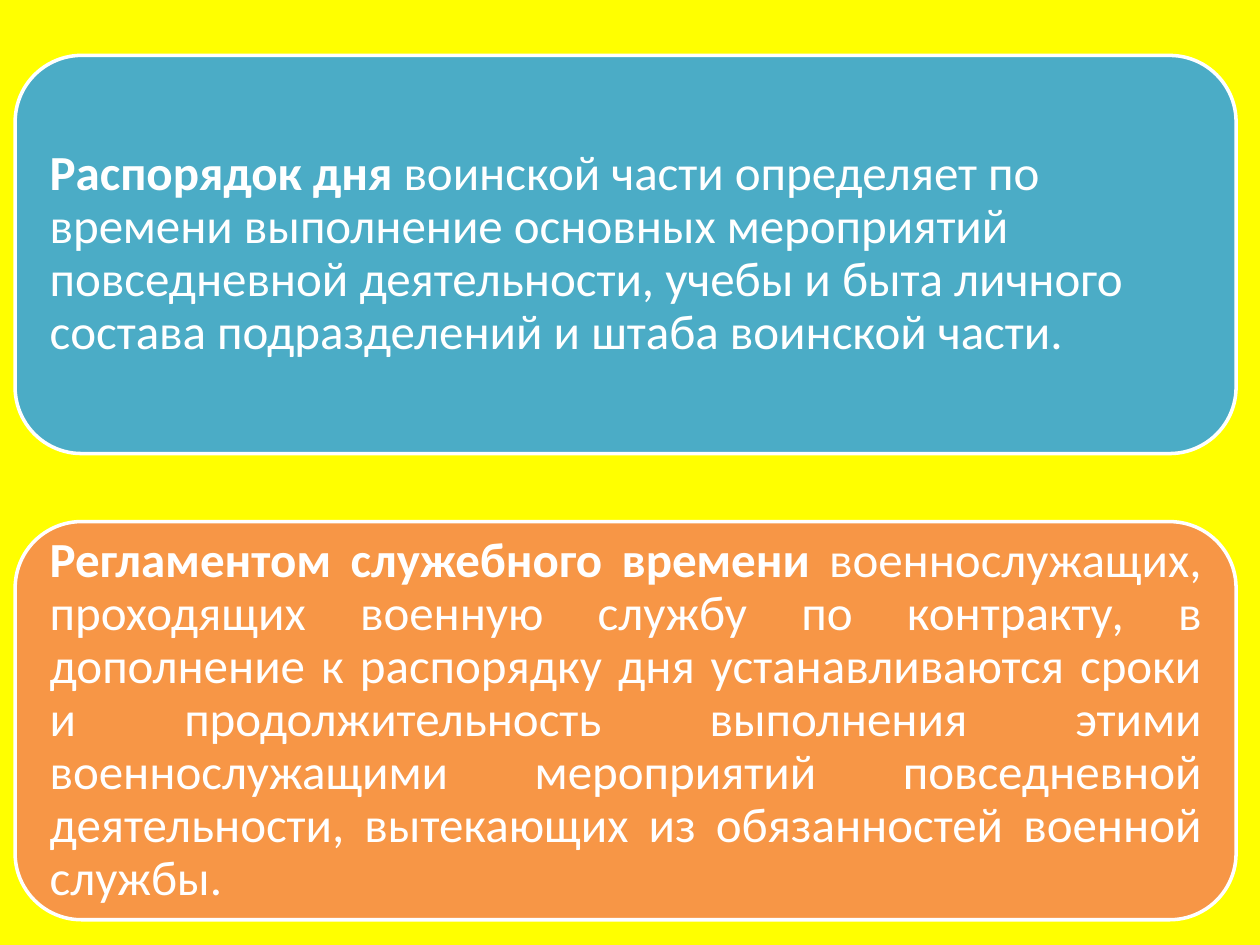
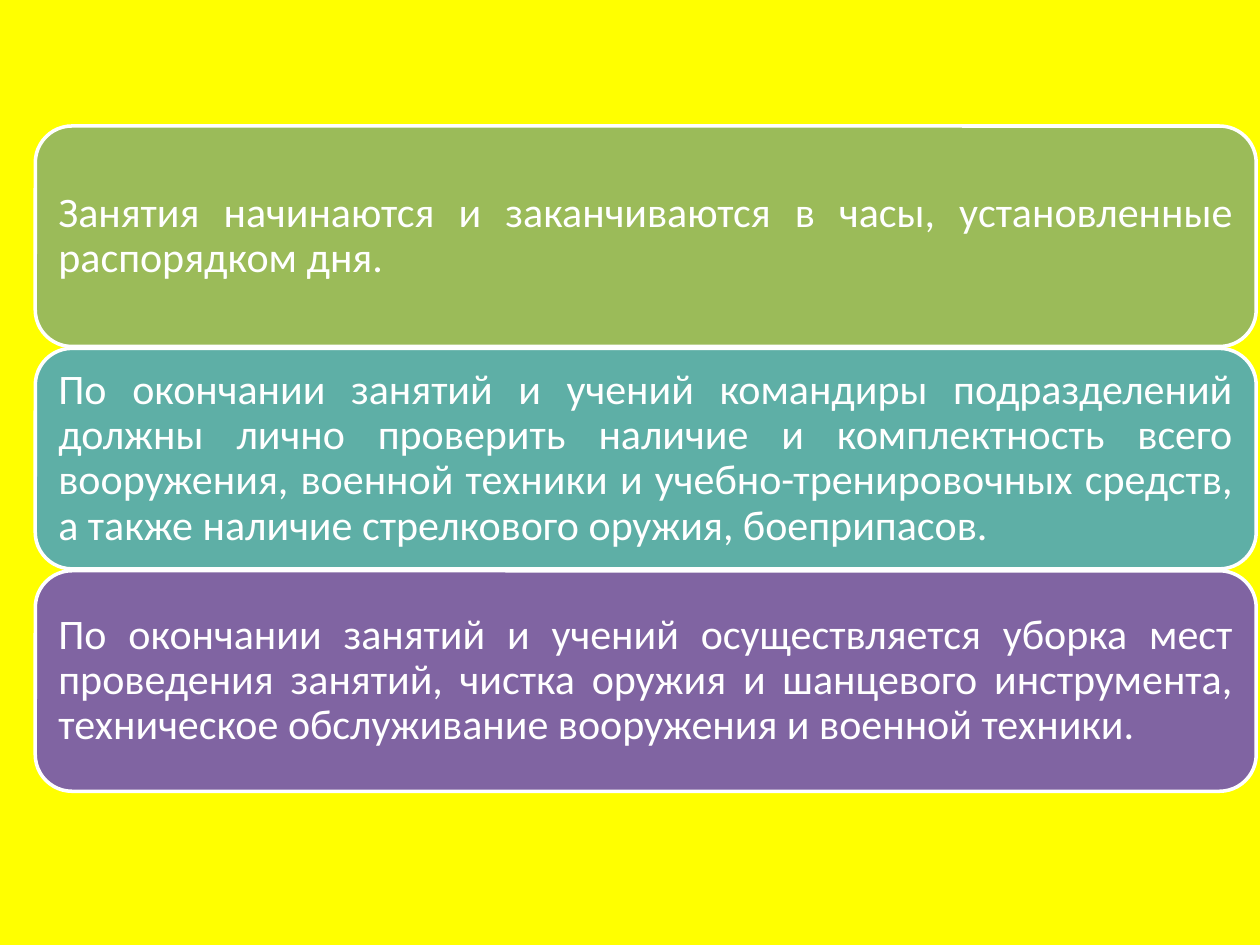
import pptx
import pptx.util
import pptx.dml.color
import pptx.enum.shapes
import pptx.enum.text

Inches = pptx.util.Inches
Pt = pptx.util.Pt
Align = pptx.enum.text.PP_ALIGN

# Shared look
YELLOW = "FFFF00"
WHITE = "FFFFFF"
FONT = "Calibri"
WIDTH = 9.69


def paint(fill, color):
    fill.solid()
    fill.fore_color.rgb = pptx.dml.color.RGBColor.from_string(color)


def add_card(slide, left, top, height, color, size, inset, align, runs):
    card = slide.shapes.add_shape(
        pptx.enum.shapes.MSO_SHAPE.ROUNDED_RECTANGLE,
        Inches(left), Inches(top), Inches(WIDTH), Inches(height))
    card.shadow.inherit = False
    paint(card.fill, color)
    paint(card.line.fill, WHITE)
    card.line.width = Pt(2)

    frame = card.text_frame
    frame.word_wrap = True
    frame.vertical_anchor = pptx.enum.text.MSO_ANCHOR.MIDDLE
    frame.margin_left = frame.margin_right = Inches(inset)
    frame.margin_top = frame.margin_bottom = Inches(inset)

    para = frame.paragraphs[0]
    para.alignment = align
    para.line_spacing = 0.9
    for text, bold in runs:
        run = para.add_run()
        run.text = text
        run.font.name = FONT
        run.font.size = Pt(size)
        run.font.bold = bold
        paint(run.font.fill, WHITE)


deck = pptx.Presentation()
deck.slide_width = Inches(10)
deck.slide_height = Inches(7.5)
blank = deck.slide_layouts[6]

# Slide 1: daily routine and service time rules
terms = [
    ("4BACC6", Align.LEFT, "Распорядок дня ",
     "воинской части определяет по времени выполнение основных мероприятий "
     "повседневной деятельности, учебы и быта личного состава подразделений "
     "и штаба воинской части."),
    ("F79646", Align.JUSTIFY, "Регламентом служебного времени",
     " военнослужащих, проходящих военную службу по контракту, в дополнение "
     "к распорядку дня устанавливаются сроки и продолжительность выполнения "
     "этими военнослужащими мероприятий повседневной деятельности, "
     "вытекающих из обязанностей военной службы."),
]
slide = deck.slides.add_slide(blank)
paint(slide.background.fill, YELLOW)
for i, (color, align, term, text) in enumerate(terms):
    add_card(slide, 0.12, 0.44 + i * 3.7, 3.16, color, 28, 0.12, align,
             [(term, True), (text, False)])

# Slide 2: order of lessons
rules = [
    ("9BBB59",
     "Занятия начинаются и заканчиваются в часы, установленные "
     "распорядком дня."),
    ("5EAFA6",
     "По окончании занятий и учений командиры подразделений должны лично "
     "проверить наличие и комплектность всего вооружения, военной техники "
     "и учебно-тренировочных средств, а также наличие стрелкового оружия, "
     "боеприпасов."),
    ("8064A2",
     "По окончании занятий и учений осуществляется уборка мест проведения "
     "занятий, чистка оружия и шанцевого инструмента, техническое "
     "обслуживание вооружения и военной техники."),
]
slide = deck.slides.add_slide(blank)
paint(slide.background.fill, YELLOW)
for i, (color, text) in enumerate(rules):
    add_card(slide, 0.28, 1 + i * 1.765, 1.75, color, 24, 0.1,
             Align.JUSTIFY, [(text, False)])

deck.save("out.pptx")
